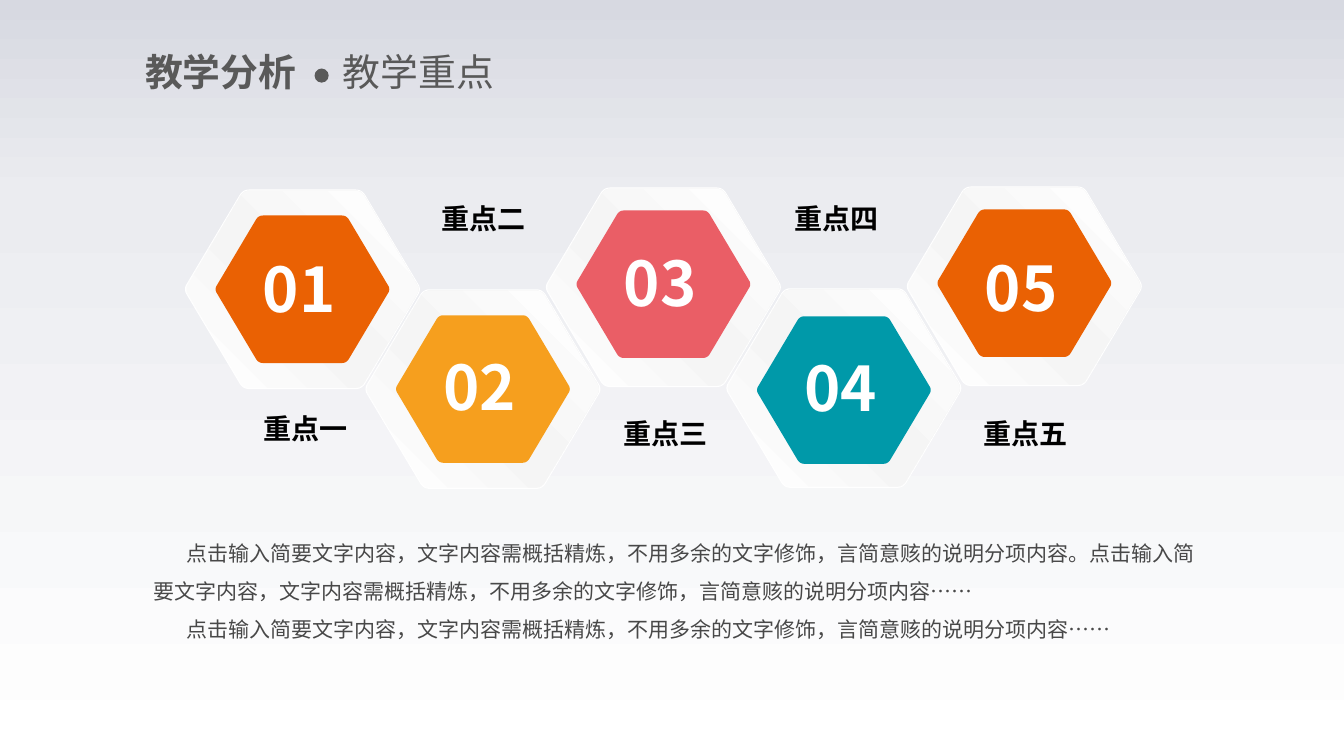
from copy import deepcopy

from lxml.etree import SubElement
from pptx import Presentation
from pptx.dml.color import RGBColor
from pptx.enum.shapes import MSO_SHAPE
from pptx.enum.text import MSO_ANCHOR, MSO_AUTO_SIZE, PP_ALIGN
from pptx.oxml.ns import qn
from pptx.util import Inches, Pt

FONT = "Noto Sans CJK SC"
GREY = "595959"
PLATE_WIDTH, RIM_WIDTH, TILE_WIDTH = 2.34, 2.31, 1.73
FIRST_CENTRE, STEP = 3.0, 1.79

# Bezier corners of a plate, relative to its centre
TOP_RIGHT = [(0.53, -0.99), (0.57, -0.99), (0.6, -0.97), (0.62, -0.94)]
RIGHT = [(1.15, -0.05), (1.17, -0.02), (1.17, 0.02), (1.15, 0.05)]
BOTTOM_RIGHT = [(x, -y) for x, y in reversed(TOP_RIGHT)]

# number, colour, plate centre y, tile centre y, number top, label, label left, label top
KEY_POINTS = [
    ("01", "EA6103", 2.87, 2.87, 2.44, "重点一", 2.28, 4.03),
    ("02", "F69F1E", 3.86, 3.86, 3.41, "重点二", 4.05, 1.95),
    ("03", "EA5E66", 2.85, 2.82, 2.38, "重点三", 5.85, 4.08),
    ("04", "0099A9", 3.85, 3.87, 3.42, "重点四", 7.55, 1.95),
    ("05", "EA6103", 2.84, 2.81, 2.43, "重点五", 9.42, 4.08),
]
DRAWING_ORDER = [4, 2, 0, 1, 3]

SENTENCE = "点击输入简要文字内容，文字内容需概括精炼，不用多余的文字修饰，言简意赅的说明分项内容"
BODY = [f"{SENTENCE}。{SENTENCE}……", f"{SENTENCE}……"]


def color(value):
    return RGBColor.from_string(value)


def curve_points(corner, steps=6):
    """Points along a cubic Bezier curve."""
    points = []
    for step in range(steps + 1):
        t = step / steps
        weights = ((1 - t) ** 3, 3 * t * (1 - t) ** 2, 3 * t * t * (1 - t), t ** 3)
        points.append(tuple(sum(weight * point[axis] for weight, point in zip(weights, corner))
                            for axis in (0, 1)))
    return points


def hexagon_points():
    half = [point for corner in (TOP_RIGHT, RIGHT, BOTTOM_RIGHT)
            for point in curve_points(corner)]
    return half + [(-x, -y) for x, y in half]


def apply_gradient(fill, element, stops, angle):
    """Three-stop linear gradient; the angle is counter-clockwise."""
    fill.gradient()
    fill.gradient_angle = angle
    stop_list = element.xpath(".//a:gsLst")[0]
    stop_list.append(deepcopy(stop_list[-1]))
    for stop, (position, value) in zip(fill.gradient_stops, stops):
        stop.position = position
        stop.color.rgb = color(value)


class SlideBuilder:
    def __init__(self, presentation):
        self.slide = presentation.slides.add_slide(presentation.slide_layouts[5])
        self.shapes = self.slide.shapes

    def background(self, stops, angle):
        apply_gradient(self.slide.background.fill, self.slide.element, stops, angle)

    def format_text(self, shape, paragraphs, size, value, bold=False,
                    align=PP_ALIGN.LEFT, insets=(0.1, 0.05)):
        frame = shape.text_frame
        frame.text = "\n".join(paragraphs)
        frame.word_wrap = True
        frame.auto_size = MSO_AUTO_SIZE.SHAPE_TO_FIT_TEXT
        frame.vertical_anchor = MSO_ANCHOR.TOP
        frame.margin_left = frame.margin_right = Inches(insets[0])
        frame.margin_top = frame.margin_bottom = Inches(insets[1])
        for paragraph in frame.paragraphs:
            paragraph.alignment = align
            paragraph.line_spacing = 1.0
            paragraph.space_before = Pt(0)
            for run in paragraph.runs:
                run.font.size = Pt(size)
                run.font.bold = bold
                run.font.color.rgb = color(value)
                run.font.name = FONT
                SubElement(run.font._element, qn("a:ea")).set("typeface", FONT)

    def title(self, left, top, width, height, text, size, value):
        title = self.shapes.title
        title.left, title.top = Inches(left), Inches(top)
        title.width, title.height = Inches(width), Inches(height)
        self.format_text(title, [text], size, value, bold=True, insets=(0, 0))

    def text(self, left, top, width, height, paragraphs, size, value, **style):
        box = self.shapes.add_textbox(Inches(left), Inches(top), Inches(width), Inches(height))
        self.format_text(box, paragraphs, size, value, **style)
        return box

    def body(self, left, top, width, height, paragraphs, size, value):
        box = self.text(left, top, width, height, paragraphs, size, value, insets=(0.13, 0.07))
        for paragraph in box.text_frame.paragraphs:
            paragraph.line_spacing = 1.5
            paragraph._p.get_or_add_pPr().set("indent", str(Inches(0.33)))

    def dot(self, left, top, diameter, value):
        dot = self.shapes.add_shape(MSO_SHAPE.OVAL, Inches(left), Inches(top),
                                    Inches(diameter), Inches(diameter))
        dot.shadow.inherit = False
        dot.fill.solid()
        dot.fill.fore_color.rgb = color(value)
        dot.line.fill.background()

    def hexagon(self, center_x, center_y, width, value=None):
        """Rounded hexagon, with a pale sheen when no colour is given."""
        scale = width / PLATE_WIDTH
        points = [(Inches(center_x + x * scale), Inches(center_y + y * scale))
                  for x, y in hexagon_points()]
        builder = self.shapes.build_freeform(*points[0])
        builder.add_line_segments(points[1:], close=True)
        shape = builder.convert_to_shape()
        shape.shadow.inherit = False
        shape.line.fill.background()
        if value:
            shape.fill.solid()
            shape.fill.fore_color.rgb = color(value)
        else:
            apply_gradient(shape.fill, shape.element,
                           [(0, "FFFFFF"), (0.47, "F5F5F5"), (1, "FFFFFF")], 45)


def main():
    presentation = Presentation()
    presentation.slide_width, presentation.slide_height = Inches(13.33), Inches(7.5)
    builder = SlideBuilder(presentation)
    builder.background([(0, "D7D9E1"), (0.26, "EBECF0"), (1, "FFFFFF")], 270)

    builder.title(1.44, 0.48, 1.67, 0.45, "教学分析", 27, GREY)
    builder.dot(3.12, 0.68, 0.14, GREY)
    builder.text(3.4, 0.48, 2.37, 0.45, ["教学重点"], 27, GREY, insets=(0, 0))

    for index in DRAWING_ORDER:
        number, value, plate_y, tile_y, number_top = KEY_POINTS[index][:5]
        center_x = FIRST_CENTRE + index * STEP
        builder.hexagon(center_x, plate_y, PLATE_WIDTH, "FFFFFF")
        builder.hexagon(center_x, plate_y, RIM_WIDTH)
        builder.hexagon(center_x, tile_y, TILE_WIDTH, value)
        builder.text(center_x - 0.49, number_top, 0.98, 0.84, [number], 44, "FFFFFF", bold=True)

    for *_, label, left, top in KEY_POINTS:
        builder.text(left, top, 1.5, 0.44, [label], 20, "000000", bold=True,
                     align=PP_ALIGN.CENTER)

    builder.body(1.39, 5.17, 10.71, 1.65, BODY, 15, "484848")
    presentation.save("out.pptx")


if __name__ == "__main__":
    main()
